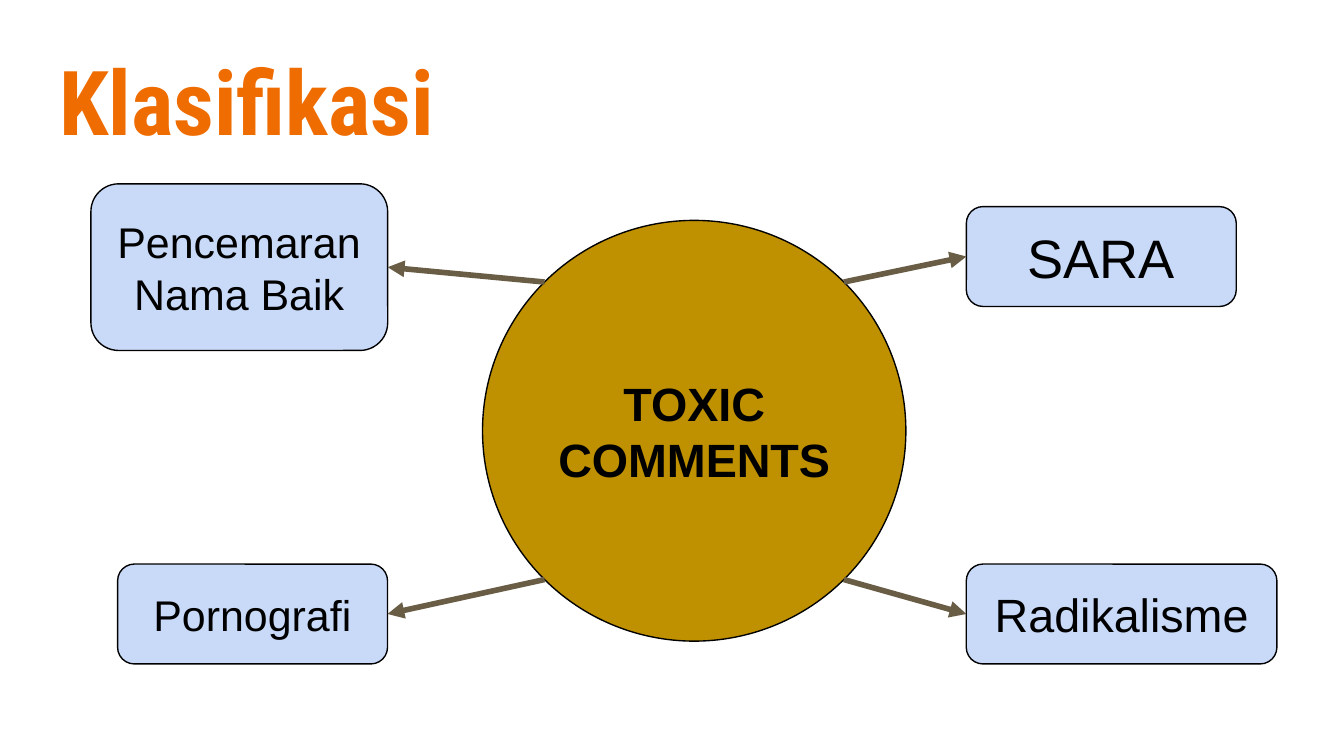
from math import sqrt

from lxml import etree
from pptx import Presentation
from pptx.dml.color import RGBColor
from pptx.enum.shapes import MSO_CONNECTOR, MSO_SHAPE
from pptx.enum.text import MSO_ANCHOR, MSO_AUTO_SIZE, PP_ALIGN
from pptx.oxml.ns import qn
from pptx.util import Pt

STRAIGHT = MSO_CONNECTOR.STRAIGHT
ELLIPSE = MSO_SHAPE.OVAL
ROUNDED = MSO_SHAPE.ROUNDED_RECTANGLE
MIDDLE, TOP = MSO_ANCHOR.MIDDLE, MSO_ANCHOR.TOP
CENTER, LEFT = PP_ALIGN.CENTER, PP_ALIGN.LEFT
NO_AUTOFIT = MSO_AUTO_SIZE.NONE

BLACK, GOLD, PALE_BLUE = "000000", "BF9000", "C9DAF8"
BROWN, ORANGE = "695D46", "EF6C00"
TITLE_BOX = (24.5, 17.5, 671, 55.5)
HUB_BOX = (258.5, 118.1, 226.8, 225.4)
CATEGORIES = [
    ("Pencemaran Nama Baik", 23, (48.7, 98.5, 159, 89.3)),
    ("SARA", 29, (517.7, 110.7, 144.6, 53.5)),
    ("Pornografi", 23, (63, 302.2, 144.6, 53.5)),
    ("Radikalisme", 25, (517.7, 302.2, 166.4, 53.5)),
]


def color(value):
    """Turn a hex string into a colour."""
    return RGBColor.from_string(value)


def write_text(shape, text, size, font_name, text_color, bold, alignment, anchor):
    """Format the text frame of a shape and write one run in it."""
    frame = shape.text_frame
    frame.word_wrap = True
    frame.auto_size = NO_AUTOFIT
    frame.vertical_anchor = anchor
    frame.margin_left = frame.margin_right = Pt(7.2)
    frame.margin_top = frame.margin_bottom = Pt(7.2)
    paragraph = frame.paragraphs[0]
    paragraph.alignment = alignment
    paragraph.line_spacing = 1.0
    run = paragraph.add_run()
    run.text = text
    run.font.size = Pt(size)
    run.font.name = font_name
    run.font.bold = bold
    run.font.color.rgb = color(text_color)


def add_title(slide, box, text):
    """Place and format the title placeholder."""
    title = slide.shapes.title
    title.left, title.top, title.width, title.height = map(Pt, box)
    write_text(title, text, 48, "Roboto Condensed", ORANGE, True, LEFT, TOP)


def add_node(slide, kind, box, fill, text, size, bold=False):
    """Add an outlined shape with centred text."""
    node = slide.shapes.add_shape(kind, *map(Pt, box))
    node.shadow.inherit = False
    node.fill.solid()
    node.fill.fore_color.rgb = color(fill)
    node.line.color.rgb = color(BLACK)
    node.line.width = Pt(0.75)
    write_text(node, text, size, "Arial", BLACK, bold, CENTER, MIDDLE)


def add_arrow(slide, hub, box):
    """Draw an arrow from the hub's diagonal point to the facing side of a box."""
    hub_left, hub_top, hub_width, hub_height = hub
    left, top, width, height = box
    center_x, center_y = hub_left + hub_width / 2, hub_top + hub_height / 2
    end_y = top + height / 2
    across, end_x = (1, left) if left > center_x else (-1, left + width)
    down = 1 if end_y > center_y else -1
    start_x = center_x + across * hub_width / sqrt(8)
    start_y = center_y + down * hub_height / sqrt(8)
    arrow = slide.shapes.add_connector(STRAIGHT, *map(Pt, (start_x, start_y, end_x, end_y)))
    arrow.line.color.rgb = color(BROWN)
    arrow.line.width = Pt(3)
    etree.SubElement(arrow.line._get_or_add_ln(), qn("a:tailEnd"), type="triangle")
    etree.SubElement(arrow._element.spPr, qn("a:effectLst"))


def add_diagram(slide, hub, categories):
    """Add the hub, its categories and the arrows to them."""
    add_node(slide, ELLIPSE, hub, GOLD, "TOXIC COMMENTS", 25, True)
    for text, size, box in categories:
        add_node(slide, ROUNDED, box, PALE_BLUE, text, size)
    for text, size, box in categories:
        add_arrow(slide, hub, box)


def main():
    """Build and save the presentation."""
    presentation = Presentation()
    presentation.slide_width, presentation.slide_height = Pt(720), Pt(405)
    slide = presentation.slides.add_slide(presentation.slide_layouts[5])
    add_title(slide, TITLE_BOX, "Klasifikasi")
    add_diagram(slide, HUB_BOX, CATEGORIES)
    presentation.save("out.pptx")


if __name__ == "__main__":
    main()
